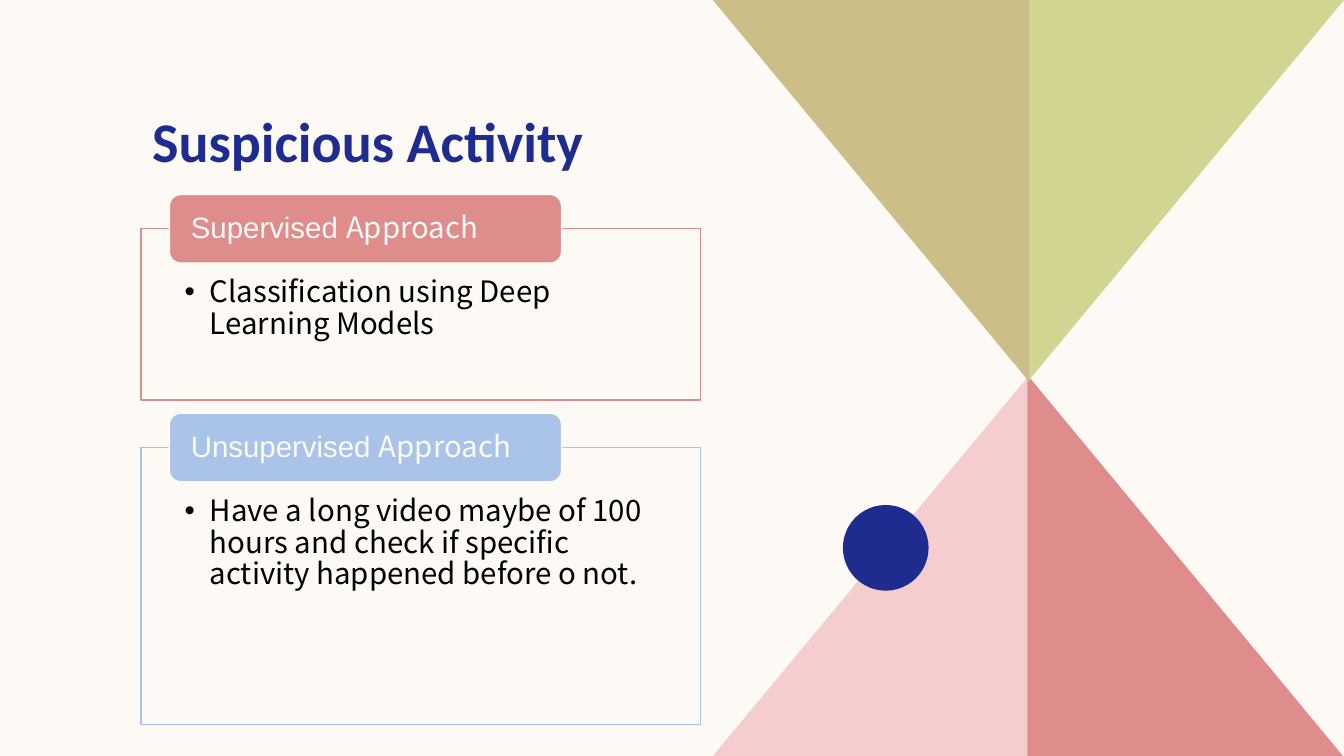
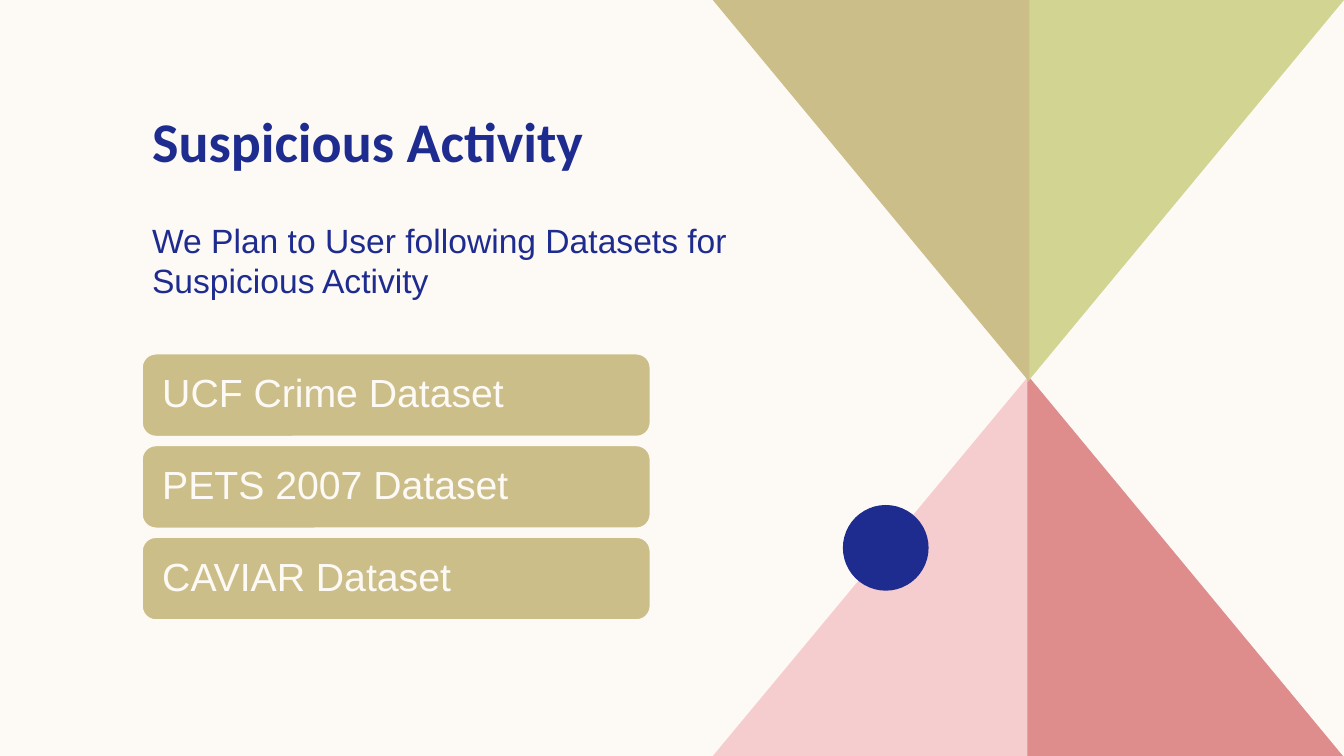
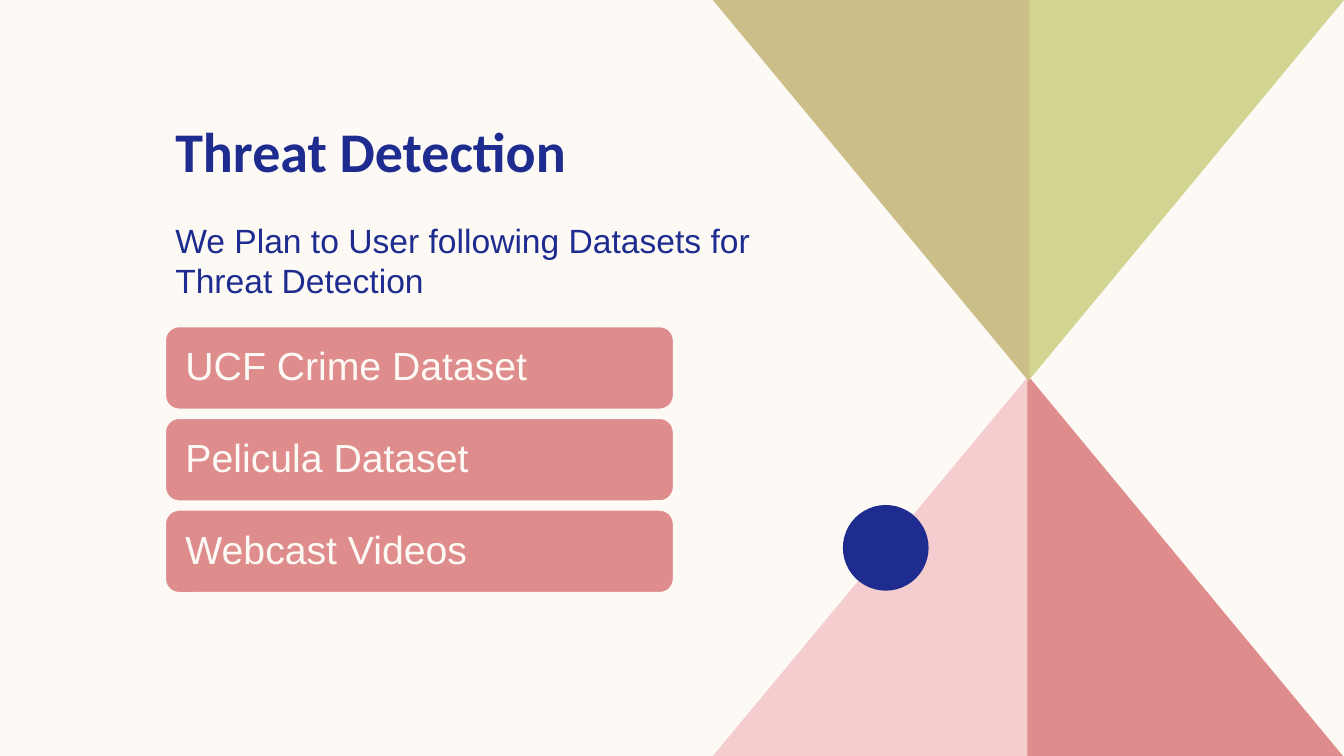
from lxml.etree import SubElement
from pptx import Presentation
from pptx.dml.color import RGBColor
from pptx.enum.shapes import MSO_SHAPE
from pptx.enum.text import MSO_ANCHOR, PP_ALIGN
from pptx.oxml.ns import qn
from pptx.util import Inches, Pt

CREAM, NAVY, BLACK = "FDFAF6", "1F2C8F", "000000"
ROSE, BLUSH, SKY = "DE8C8C", "F5CDCE", "AAC3E8"
LIME, SAND = "D2D592", "CCBE89"
ARIAL, CALIBRI, NOTO = "Arial", "Calibri", "Noto Sans CJK JP"

TRIANGLES = [
    (BLUSH, [(10.21, 3.72), (7.07, 7.5), (10.21, 7.5)]),
    (ROSE, [(10.19, 3.72), (13.32, 7.5), (10.19, 7.5)]),
    (LIME, [(10.19, 3.79), (13.33, 0), (10.19, 0)]),
    (SAND, [(10.21, 3.79), (7.07, 0), (10.21, 0)]),
]

# heading, colour, box top, box height, bullet
APPROACHES = [
    ("Supervised ", ROSE, 2.27, 1.7, "Classification using Deep Learning Models"),
    ("Unsupervised ", SKY, 4.44, 2.75,
     "Have a long video maybe of 100 hours and check if specific "
     "activity happened before o not."),
]

DATASET_SLIDES = [
    {"title": "Suspicious Activity", "left": 1.41, "title_top": 1.01,
     "bars_top": 3.51, "color": SAND,
     "datasets": ["UCF Crime Dataset", "PETS 2007 Dataset", "CAVIAR Dataset"]},
    {"title": "Threat Detection", "left": 1.64, "title_top": 1.11,
     "bars_top": 3.24, "color": ROSE,
     "datasets": ["UCF Crime Dataset", "Pelicula Dataset", "Webcast Videos"]},
]
BAR_HEIGHT, BAR_PITCH = 0.82, 0.91


def rgb(color):
    return RGBColor.from_string(color)


def paint(shape, fill, line=None):
    shape.shadow.inherit = False
    shape.fill.solid()
    shape.fill.fore_color.rgb = rgb(fill)
    if line:
        shape.line.color.rgb = rgb(line)
        shape.line.width = Pt(1)
    else:
        shape.line.fill.background()


def add_block(slide, preset, box, fill, line=None):
    block = slide.shapes.add_shape(preset, *map(Inches, box))
    paint(block, fill, line)
    return block


def write(shape, runs, size, color, insets=(0.1, 0.05, 0.1, 0.05),
          anchor=MSO_ANCHOR.TOP, spacing=1.0, bold=False):
    """Fill the shape with one paragraph of (text, font) runs and return it."""
    frame = shape.text_frame
    sides = ("margin_left", "margin_top", "margin_right", "margin_bottom")
    settings = {"word_wrap": True, "vertical_anchor": anchor}
    settings.update(zip(sides, map(Inches, insets)))
    for key, value in settings.items():
        setattr(frame, key, value)
    paragraph = frame.paragraphs[0]
    paragraph.alignment = PP_ALIGN.LEFT
    paragraph.line_spacing = spacing
    for text, font in runs:
        run = paragraph.add_run()
        run.text = text
        for key, value in {"name": font, "size": Pt(size), "bold": bold}.items():
            setattr(run.font, key, value)
        run.font.color.rgb = rgb(color)
    return paragraph


def add_bullet(paragraph, indent):
    properties = paragraph._p.get_or_add_pPr()
    properties.set("marL", str(Inches(indent)))
    properties.set("indent", str(-Inches(indent)))
    SubElement(properties, qn("a:buFont"), typeface=ARIAL)
    SubElement(properties, qn("a:buChar"), char="•")


def add_text(slide, box, text, font, size, bold=False):
    textbox = slide.shapes.add_textbox(*map(Inches, box))
    write(textbox, [(text, font)], size, NAVY, bold=bold)


def add_slide(prs, title, left, title_top):
    """Add a slide with the hourglass, the dot and the title."""
    slide = prs.slides.add_slide(prs.slide_layouts[6])
    for color, corners in TRIANGLES:
        start, *others = [(Inches(x), Inches(y)) for x, y in corners]
        outline = slide.shapes.build_freeform(*start)
        outline.add_line_segments(others, close=True)
        paint(outline.convert_to_shape(), color)
    add_block(slide, MSO_SHAPE.OVAL, (8.36, 5.01, 0.85, 0.85), NAVY)
    add_text(slide, (left, title_top, 5.55, 0.77), title, CALIBRI, 40, bold=True)
    return slide


def add_approach(slide, heading, color, top, height, bullet):
    box = add_block(slide, MSO_SHAPE.RECTANGLE, (1.4, top, 5.55, height), CREAM, color)
    paragraph = write(box, [(bullet, NOTO)], 21, BLACK,
                      insets=(0.43, 0.48, 0.43, 0.16), spacing=0.9)
    add_bullet(paragraph, 0.25)
    tab = add_block(slide, MSO_SHAPE.ROUNDED_RECTANGLE,
                    (1.68, top - 0.34, 3.89, 0.68), color, CREAM)
    write(tab, [(heading, ARIAL), ("Approach", NOTO)], 21, CREAM,
          insets=(0.18, 0, 0.18, 0), anchor=MSO_ANCHOR.MIDDLE, spacing=0.9)


def add_dataset_slide(prs, title, left, title_top, bars_top, color, datasets):
    slide = add_slide(prs, title, left, title_top)
    for i, dataset in enumerate(datasets):
        bar = add_block(slide, MSO_SHAPE.ROUNDED_RECTANGLE,
                        (left, bars_top + i * BAR_PITCH, 5.04, BAR_HEIGHT), color, CREAM)
        write(bar, [(dataset, ARIAL)], 28, CREAM, insets=(0.16,) * 4,
              anchor=MSO_ANCHOR.MIDDLE, spacing=0.9)
    add_text(slide, (left, 2.13, 6.65, 0.91),
             f"We Plan to User following Datasets for {title}", ARIAL, 24)


def main():
    prs = Presentation()
    prs.slide_width, prs.slide_height = Inches(13.33), Inches(7.5)
    background = prs.slide_master.background.fill
    background.solid()
    background.fore_color.rgb = rgb(CREAM)

    approaches = add_slide(prs, "Suspicious Activity", 1.41, 1.01)
    for approach in APPROACHES:
        add_approach(approaches, *approach)
    for content in DATASET_SLIDES:
        add_dataset_slide(prs, **content)
    prs.save("out.pptx")


if __name__ == "__main__":
    main()
